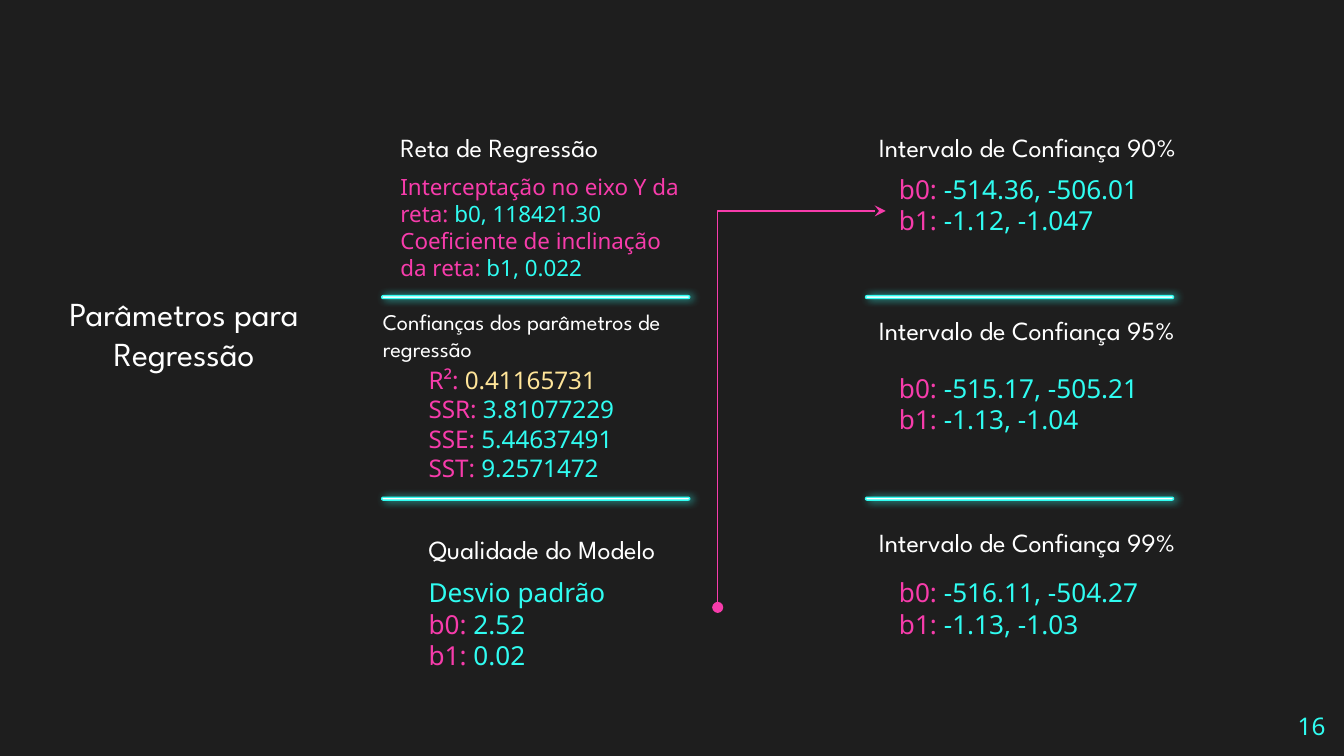
from dataclasses import dataclass

import pptx
import pptx.dml.color
import pptx.enum.shapes
import pptx.enum.text
import pptx.oxml
import pptx.oxml.ns
import pptx.util
from lxml import etree

Pt = pptx.util.Pt
ALIGN = pptx.enum.text.PP_ALIGN
ANCHOR = pptx.enum.text.MSO_ANCHOR
HEADING_FONT, BODY_FONT = "League Spartan", "Noto Sans"
DARK, WHITE, PINK, CYAN, YELLOW = "1E1E1E", "FFFFFF", "F73CAB", "30FCF1", "FFE599"
LEFT_COL, RIGHT_COL = 222.5, 474.5
RIGHT_HEAD = 463.7


@dataclass
class Heading:
    text: str
    left: float
    top: float
    width: float
    height: float
    size: float = 14


@dataclass
class Body:
    """Lines of (text, colour) runs at a place on the slide."""
    left: float
    top: float
    width: float
    height: float
    lines: list[list[tuple[str, str]]]
    size: float = 14


def rgb(value: str) -> pptx.dml.color.RGBColor:
    return pptx.dml.color.RGBColor.from_string(value)


def pair(label: str, value: str, color: str = CYAN) -> list[tuple[str, str]]:
    return [(label + " ", PINK), (value, color)]


def add_text(s, box: Body, font: str = BODY_FONT, anchor=ANCHOR.TOP, align=ALIGN.LEFT) -> None:
    sp = s.shapes.add_textbox(Pt(box.left), Pt(box.top), Pt(box.width), Pt(box.height))
    tf = sp.text_frame
    tf.word_wrap = True
    tf.vertical_anchor = anchor
    tf.margin_left = tf.margin_right = tf.margin_top = tf.margin_bottom = Pt(7.2)
    for i, line in enumerate(box.lines):
        p = tf.paragraphs[0] if i == 0 else tf.add_paragraph()
        p.alignment = align
        for text, color in line:
            r = p.add_run()
            r.text = text
            r.font.name = font
            r.font.size = Pt(box.size)
            r.font.color.rgb = rgb(color)


def add_heading(s, h: Heading, anchor=ANCHOR.BOTTOM, align=ALIGN.LEFT) -> None:
    box = Body(h.left, h.top, h.width, h.height, [[(h.text, WHITE)]], h.size)
    add_text(s, box, HEADING_FONT, anchor, align)


def add_divider(s, left: float, top: float) -> None:
    """Draw a thin white bar with a cyan glow."""
    sp = s.shapes.add_shape(pptx.enum.shapes.MSO_SHAPE.ROUNDED_RECTANGLE,
                            Pt(left), Pt(top), Pt(165), Pt(1.5))
    sp.adjustments[0] = 0.5
    sp.fill.solid()
    sp.fill.fore_color.rgb = rgb(WHITE)
    sp.line.color.rgb = rgb(CYAN)
    sp.line.width = Pt(0.75)
    sp.shadow.inherit = False
    effects = sp._element.spPr.find(pptx.oxml.ns.qn("a:effectLst"))
    effects.append(pptx.oxml.parse_xml(
        f'<a:outerShdw {pptx.oxml.ns.nsdecls("a")} blurRad="{Pt(4.5)}" dist="{Pt(1.5)}" '
        f'dir="0" algn="bl" rotWithShape="0"><a:srgbClr val="{CYAN}">'
        '<a:alpha val="79000"/></a:srgbClr></a:outerShdw>'))


def add_elbow_arrow(s, x1: float, y1: float, x2: float, y2: float) -> None:
    """Draw an arrow that goes up from the start, then right to the end."""
    run, rise = x2 - x1, y1 - y2
    c = s.shapes.add_connector(pptx.enum.shapes.MSO_CONNECTOR.ELBOW, 0, 0, 0, 0)
    c.left, c.top = Pt((x1 + x2 - rise) / 2), Pt((y1 + y2 - run) / 2)
    c.width, c.height = Pt(rise), Pt(run)
    spPr = c._element.spPr
    spPr.find(pptx.oxml.ns.qn("a:xfrm")).set("rot", str(270 * 60000))
    spPr.find(pptx.oxml.ns.qn("a:prstGeom")).set("prst", "bentConnector2")
    c.line.color.rgb = rgb(PINK)
    c.line.width = Pt(0.75)
    ln = c.line._get_or_add_ln()
    for tag, kind in (("a:headEnd", "oval"), ("a:tailEnd", "stealth")):
        etree.SubElement(ln, pptx.oxml.ns.qn(tag), type=kind, w="med", len="med")
    etree.SubElement(spPr, pptx.oxml.ns.qn("a:effectLst"))


HEADINGS = [
    Heading("Reta de Regressão", 207.4, 67.7, 162, 26.6),
    Heading("Confianças dos parâmetros de regressão", 198, 155.5, 171.4, 45.4, 12),
    Heading("Qualidade do Modelo", LEFT_COL, 264.2, 149.8, 45.4),
    Heading("Intervalo de Confiança 90%", RIGHT_HEAD, 49, 214.6, 45.4),
    Heading("Intervalo de Confiança 95%", RIGHT_HEAD, 155.5, 214.6, 36.7),
    Heading("Intervalo de Confiança 99%", RIGHT_HEAD, 269.3, 214.6, 36.7),
]
BODIES = [
    Body(207.4, 85.7, 169.2, 74.2, [
        pair("Interceptação no eixo Y da reta:", "b0, 118421.30"),
        pair("Coeficiente de inclinação da reta:", "b1, 0.022")], 12),
    Body(LEFT_COL, 188.6, 149.8, 68.4, [
        pair("R²:", "0.41165731", YELLOW), pair("SSR:", "3.81077229"),
        pair("SSE:", "5.44637491"), pair("SST:", "9.2571472")], 13),
    Body(LEFT_COL, 301.7, 149.8, 54.7, [
        [("Desvio padrão", CYAN)], pair("b0:", "2.52"), pair("b1:", "0.02")]),
]
INTERVALS = [
    (85.7, "-514.36, -506.01", "-1.12, -1.047"),
    (192.2, "-515.17, -505.21", "-1.13, -1.04"),
    (301.7, "-516.11, -504.27", "-1.13, -1.03"),
]


def main() -> None:
    prs = pptx.Presentation()
    prs.slide_width, prs.slide_height = Pt(720), Pt(405)
    s = prs.slides.add_slide(prs.slide_layouts[6])
    s.background.fill.solid()
    s.background.fill.fore_color.rgb = rgb(DARK)

    add_heading(s, Heading("Parâmetros para Regressão", 7.2, 100.8, 182.9, 155.5, 18),
                ANCHOR.MIDDLE, ALIGN.CENTER)
    for heading in HEADINGS:
        add_heading(s, heading)
    for body in BODIES:
        add_text(s, body)
    for top, b0, b1 in INTERVALS:
        add_text(s, Body(RIGHT_COL, top, 165, 54, [pair("b0:", b0), pair("b1:", b1)]))
    for left in (204.5, RIGHT_HEAD):
        for top in (158.4, 266.4):
            add_divider(s, left, top)
    add_elbow_arrow(s, 384.5, 325.4, 474.5, 113)
    add_text(s, Body(673.9, 373.7, 43.2, 31, [[("16", CYAN)]], 13), align=ALIGN.RIGHT)
    prs.save("out.pptx")


if __name__ == "__main__":
    main()
